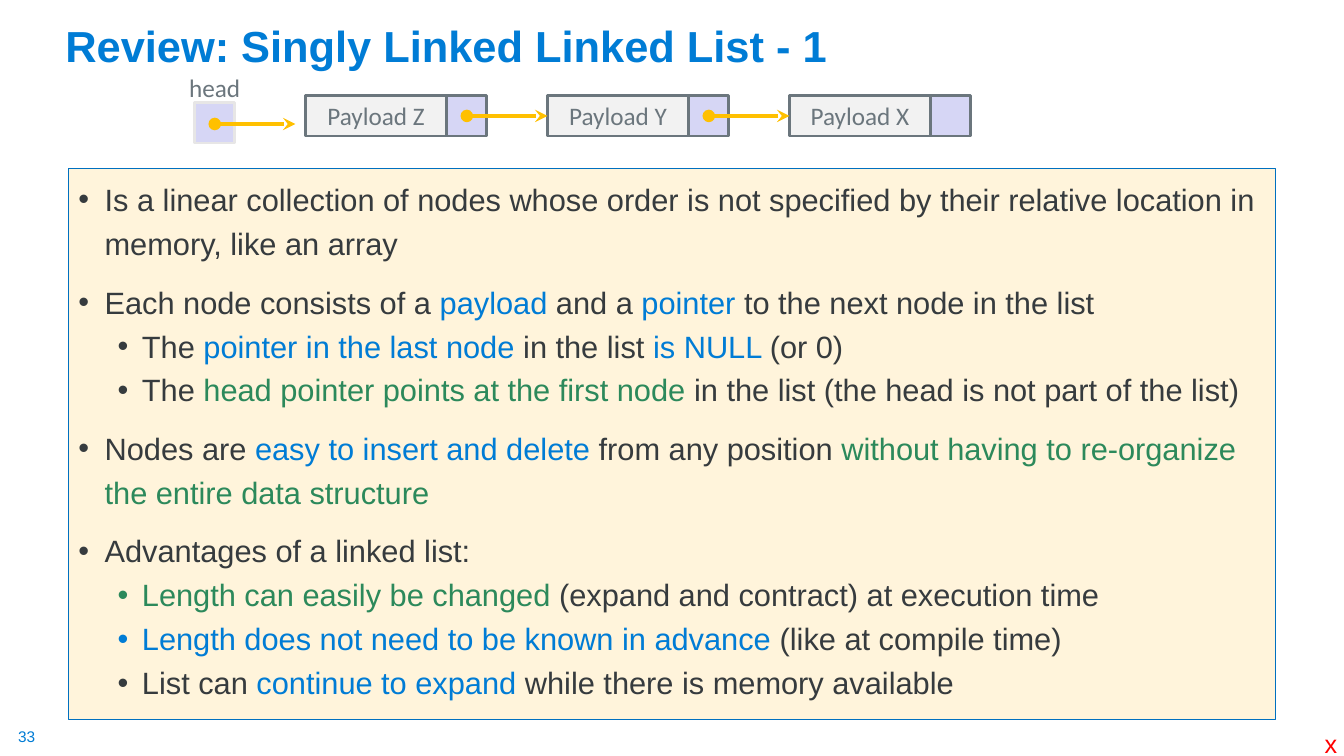
import pptx
import pptx.util
import pptx.dml.color
import pptx.enum.shapes
import pptx.enum.text
import pptx.oxml.ns
from dataclasses import dataclass
from lxml import etree
from pptx.util import Inches

HUES = {"blue": "007CD5", "green": "2C895B", "dark": "363B3E", "grey": "6B767D",
        "cream": "FFF4DB", "edge": "0070C0", "pale": "F2F2F2", "lilac": "D6D6F5",
        "gold": "FFC000", "mist": "E7E6E6", "red": "FF0000"}
CENTER = pptx.enum.text.PP_ALIGN.CENTER
MIDDLE = pptx.enum.text.MSO_ANCHOR.MIDDLE
TOP = pptx.enum.text.MSO_ANCHOR.TOP
BOTTOM = pptx.enum.text.MSO_ANCHOR.BOTTOM


@dataclass
class Label:
    text: str
    left: float
    top: float
    width: float
    height: float
    size: int
    hue: str
    face: str = "Arial"
    bold: bool = False
    wrap: bool = True
    inset: bool = True
    anchor: object = TOP
    align: object = None


@dataclass
class Point:
    level: int
    runs: list[tuple[str, str]]


@dataclass
class Node:
    name: str
    left: float


@dataclass
class Style:
    indent: float
    hang: float
    line: float
    before: int


LABELS = [
    Label("33", 0.18, 7.21, 0.19, 0.19, 11, "blue", wrap=False, inset=False),
    Label("Review: Singly Linked Linked List - 1", 0.55, 0.13, 11.5, 0.63, 31,
          "blue", bold=True, anchor=BOTTOM),
    Label("head", 1.73, 0.67, 0.8, 0.4, 18, "grey", "Calibri", align=CENTER),
    Label("x", 13.04, 7.18, 0.33, 0.4, 18, "red", wrap=False),
]
POINTS = [
    Point(0, [("Is a linear collection of nodes whose order is not specified by "
               "their relative location in memory, like an array", "dark")]),
    Point(0, [("Each node consists of a ", "dark"), ("payload", "blue"),
              (" and a ", "dark"), ("pointer", "blue"),
              (" to the next node in the list", "dark")]),
    Point(1, [("The ", "dark"), ("pointer in the last node ", "blue"),
              ("in the list ", "dark"), ("is NULL ", "blue"), ("(or 0)", "dark")]),
    Point(1, [("The ", "dark"), ("head pointer points at the first node ", "green"),
              ("in the list (the head is not part of the list)", "dark")]),
    Point(0, [("Nodes are ", "dark"), ("easy to insert and delete ", "blue"),
              ("from any position ", "dark"),
              ("without having to re-organize the entire data structure", "green")]),
    Point(0, [("Advantages of a linked list:", "dark")]),
    Point(1, [("Length can easily be changed ", "green"),
              ("(expand and contract) at execution time", "dark")]),
    Point(1, [("Length does not need to be known in advance ", "blue"),
              ("(like at compile time)", "dark")]),
    Point(1, [("List can ", "dark"), ("continue to expand ", "blue"),
              ("while there is memory available", "dark")]),
]
STYLES = [Style(0.26, -0.26, 1.2, 10), Style(0.63, -0.24, 1.0, 5)]
NODES = [Node(f"Payload {key}", 3.03 + 2.4 * i) for i, key in enumerate("ZYX")]
ROW, WIDE, CELL, REACH = 0.95, 1.4, 0.4, 0.8


def tint(name: str) -> pptx.dml.color.RGBColor:
    return pptx.dml.color.RGBColor.from_string(HUES[name])


def set_font(font, face: str, size: int, hue: str, bold: bool = False) -> None:
    font.name, font.size, font.bold = face, pptx.util.Pt(size), bold
    font.color.rgb = tint(hue)


def add_tag(parent, tag: str, **attrs: str):
    return etree.SubElement(parent, pptx.oxml.ns.qn(tag), attrs)


def add_box(slide, left: float, top: float, width: float, height: float,
            fill: str, line: str, weight: float):
    box = slide.shapes.add_shape(
        pptx.enum.shapes.MSO_SHAPE.RECTANGLE,
        Inches(left), Inches(top), Inches(width), Inches(height))
    box.shadow.inherit = False
    box.fill.solid()
    box.fill.fore_color.rgb = tint(fill)
    box.line.color.rgb = tint(line)
    box.line.width = pptx.util.Pt(weight)
    return box


def add_label(slide, label: Label) -> None:
    box = slide.shapes.add_textbox(Inches(label.left), Inches(label.top),
                                   Inches(label.width), Inches(label.height))
    frame = box.text_frame
    frame.word_wrap = label.wrap
    frame.vertical_anchor = label.anchor
    if not label.inset:
        frame.margin_left = frame.margin_right = 0
        frame.margin_top = frame.margin_bottom = 0
    para = frame.paragraphs[0]
    para.text = label.text
    para.alignment = label.align
    set_font(para.font, label.face, label.size, label.hue, label.bold)


def add_arrow(slide, left: float, top: float) -> None:
    arrow = slide.shapes.add_connector(
        pptx.enum.shapes.MSO_CONNECTOR.STRAIGHT,
        Inches(left), Inches(top), Inches(left + REACH), Inches(top))
    arrow.line.color.rgb = tint("gold")
    arrow.line.width = pptx.util.Pt(3)
    line = arrow.line._get_or_add_ln()
    add_tag(line, "a:headEnd", type="oval")
    add_tag(line, "a:tailEnd", type="stealth")
    add_tag(arrow._element.spPr, "a:effectLst")


def add_node(slide, node: Node) -> None:
    box = add_box(slide, node.left, ROW, WIDE, CELL, "pale", "grey", 2)
    box.text_frame.vertical_anchor = MIDDLE
    para = box.text_frame.paragraphs[0]
    para.text = node.name
    para.alignment = CENTER
    set_font(para.font, "Calibri", 18, "grey")
    add_box(slide, node.left + WIDE, ROW, CELL, CELL, "lilac", "grey", 2)


def add_points(slide, points: list[Point]) -> None:
    frame = add_box(slide, 0.68, 1.67, 11.97, 5.47, "cream", "edge", 0.75).text_frame
    frame.word_wrap = True
    frame.vertical_anchor = TOP
    for i, point in enumerate(points):
        style = STYLES[point.level]
        para = frame.add_paragraph() if i else frame.paragraphs[0]
        para.level = point.level
        para.alignment = pptx.enum.text.PP_ALIGN.LEFT
        para.line_spacing = style.line
        para.space_before = pptx.util.Pt(style.before if i else 0)
        props = para._p.get_or_add_pPr()
        props.set("marL", str(Inches(style.indent)))
        props.set("indent", str(Inches(style.hang)))
        add_tag(props, "a:buFont", typeface="Arial")
        add_tag(props, "a:buChar", char="•")
        for text, hue in point.runs:
            run = para.add_run()
            run.text = text
            set_font(run.font, "Arial", 22, hue)


def main() -> None:
    deck = pptx.Presentation()
    deck.slide_width, deck.slide_height = Inches(13.33), Inches(7.5)
    slide = deck.slides.add_slide(deck.slide_layouts[6])

    # Bullet panel
    add_points(slide, POINTS)

    # Linked nodes and the arrows between them
    for node in NODES:
        add_node(slide, node)
    for node in NODES[:-1]:
        add_arrow(slide, node.left + WIDE + CELL / 2, ROW + CELL / 2)

    # Head pointer
    add_box(slide, 1.93, 1.02, CELL, CELL, "lilac", "mist", 2)
    add_arrow(slide, 2.13, 1.23)

    # Title, page number and other labels
    for label in LABELS:
        add_label(slide, label)

    deck.save("out.pptx")


if __name__ == "__main__":
    main()
